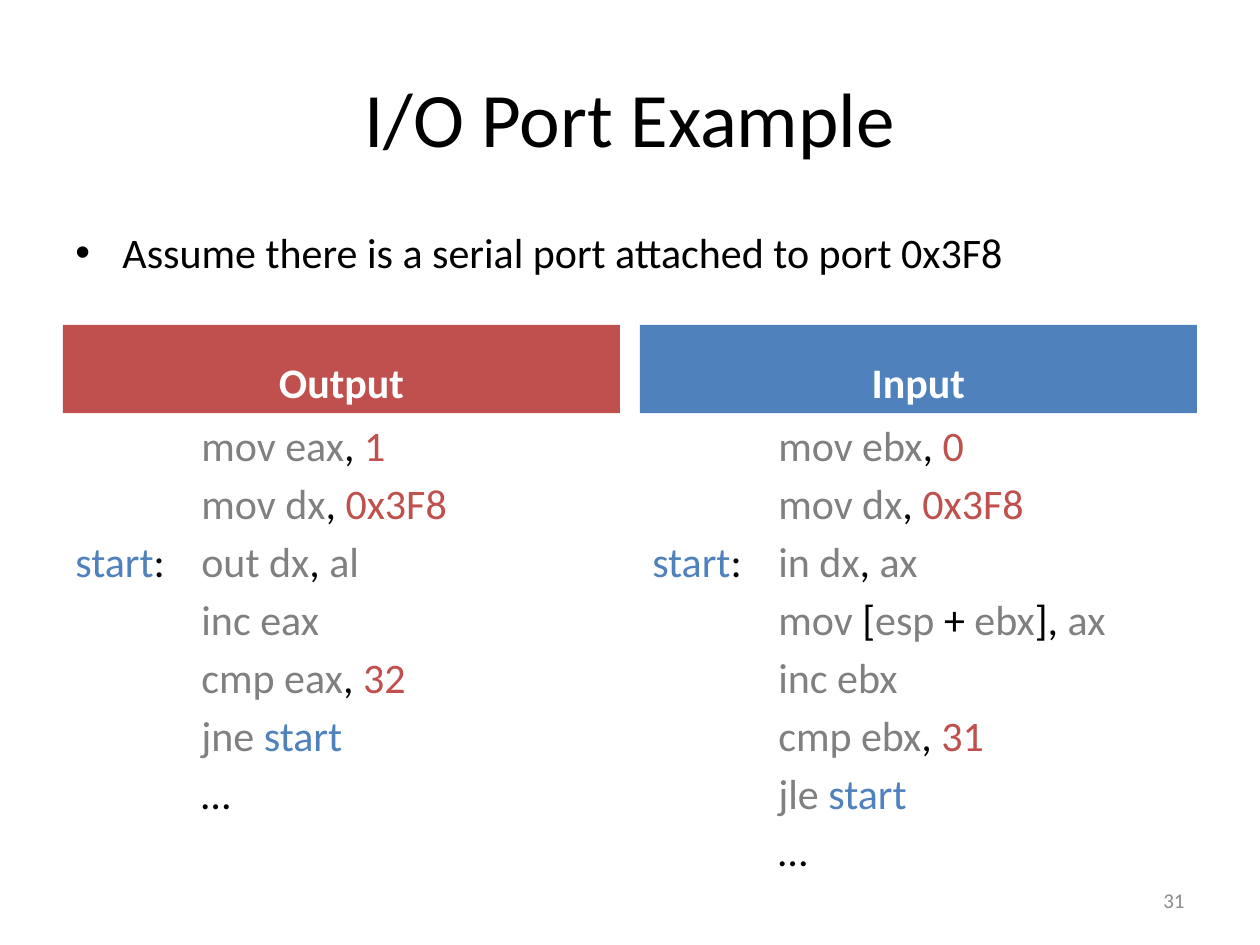
import pptx
import pptx.dml.color
import pptx.enum.shapes
import pptx.enum.text
import pptx.oxml
import pptx.util
from pptx.util import Cm

BLACK, WHITE, GRAY = "000000", "FFFFFF", "808080"
RED, BLUE, PALE = "C0504D", "4F81BD", "8C8C8C"
NAMESPACE = 'xmlns:a="http://schemas.openxmlformats.org/drawingml/2006/main"'
ALIGN = pptx.enum.text.PP_ALIGN
ANCHOR = pptx.enum.text.MSO_ANCHOR


def rgb(value):
    return pptx.dml.color.RGBColor.from_string(value)


def write(para, spans, size, align=ALIGN.LEFT, before=0, bold=False, extra=()):
    """Fill a paragraph with (text, colour) spans and any extra XML properties."""
    para.alignment = align
    para.space_before = pptx.util.Pt(before)
    for tag in extra:
        para._p.get_or_add_pPr().append(pptx.oxml.parse_xml(tag))
    para.font.name = "Calibri"
    para.font.size = pptx.util.Pt(size)
    para.font.bold = bold
    for text, color in spans:
        span = para.add_run()
        span.text = text
        span.font.color.rgb = rgb(color)


deck = pptx.Presentation()
deck.slide_width, deck.slide_height = Cm(25.4), Cm(19.05)
page = deck.slides.add_slide(deck.slide_layouts[6])

# Title, introduction and page number
bullet = f'<a:buFont {NAMESPACE} typeface="Arial"/>', f'<a:buChar {NAMESPACE} char="•"/>'
texts = [
    ("I/O Port Example", BLACK, 44, ALIGN.CENTER, ANCHOR.MIDDLE, (1.27, 0.76, 22.86, 3.18), 0, ()),
    ("Assume there is a serial port attached to port 0x3F8", BLACK, 24, ALIGN.LEFT,
     ANCHOR.TOP, (1.27, 4.45, 22.86, 1.93), 4.3, bullet),
    ("31", PALE, 12, ALIGN.RIGHT, ANCHOR.MIDDLE, (18.2, 17.65, 5.93, 1.01), 0, ()),
]
for text, color, size, align, anchor, place, before, extra in texts:
    box = page.shapes.add_textbox(*map(Cm, place))
    box.text_frame.word_wrap = True
    box.text_frame.vertical_anchor = anchor
    para = box.text_frame.paragraphs[0]
    write(para, [(text, color)], size, align, before, extra=extra)
    if extra:
        properties = para._p.get_or_add_pPr()
        properties.set("marL", str(Cm(0.95)))
        properties.set("indent", str(Cm(-0.95)))

# Assembly listings: each line is a label and its coloured spans
tab, comma = ("\t", BLACK), (", ", BLACK)
start, colon = ("start", BLUE), (":\t", BLACK)
output_code = [
    [tab, ("mov eax", GRAY), comma, ("1", RED)],
    [tab, ("mov dx", GRAY), comma, ("0x3F8", RED)],
    [start, colon, ("out dx", GRAY), comma, ("al", GRAY)],
    [tab, ("inc eax", GRAY)],
    [tab, ("cmp eax", GRAY), comma, ("32", RED)],
    [tab, ("jne ", GRAY), start],
    [tab, ("…", BLACK)],
]
input_code = [
    [tab, ("mov ebx", GRAY), comma, ("0", RED)],
    [tab, ("mov dx", GRAY), comma, ("0x3F8", RED)],
    [start, colon, ("in dx", GRAY), comma, ("ax", GRAY)],
    [tab, ("mov", GRAY), (" [", BLACK), ("esp ", GRAY), ("+ ", BLACK),
     ("ebx", GRAY), ("], ", BLACK), ("ax", GRAY)],
    [tab, ("inc ebx", GRAY)],
    [tab, ("cmp ebx", GRAY), comma, ("31", RED)],
    [tab, ("jle ", GRAY), start],
    [tab, ("…", BLACK)],
]
tab_stop = f'<a:tabLst {NAMESPACE}><a:tab pos="{Cm(2.54)}" algn="l"/></a:tabLst>'

# Two columns, each with a header bar above its code
columns = [("Output", RED, 1.27, 8.86, output_code), ("Input", BLUE, 12.9, 10.34, input_code)]
for heading, color, left, height, code in columns:
    bar = page.shapes.add_shape(pptx.enum.shapes.MSO_SHAPE.RECTANGLE,
                                Cm(left), Cm(6.55), Cm(11.23), Cm(1.78))
    bar.shadow.inherit = False
    bar.fill.solid()
    bar.fill.fore_color.rgb = rgb(color)
    bar.line.fill.background()
    bar.text_frame.word_wrap = True
    bar.text_frame.vertical_anchor = ANCHOR.BOTTOM
    write(bar.text_frame.paragraphs[0], [(heading, WHITE)], 24, ALIGN.CENTER, 4.3, bold=True)

    box = page.shapes.add_textbox(Cm(left), Cm(8.33), Cm(11.23), Cm(height))
    box.text_frame.word_wrap = True
    for number, spans in enumerate(code):
        para = box.text_frame.add_paragraph() if number else box.text_frame.paragraphs[0]
        write(para, spans, 24, before=4.3, extra=[tab_stop])

deck.save("out.pptx")
